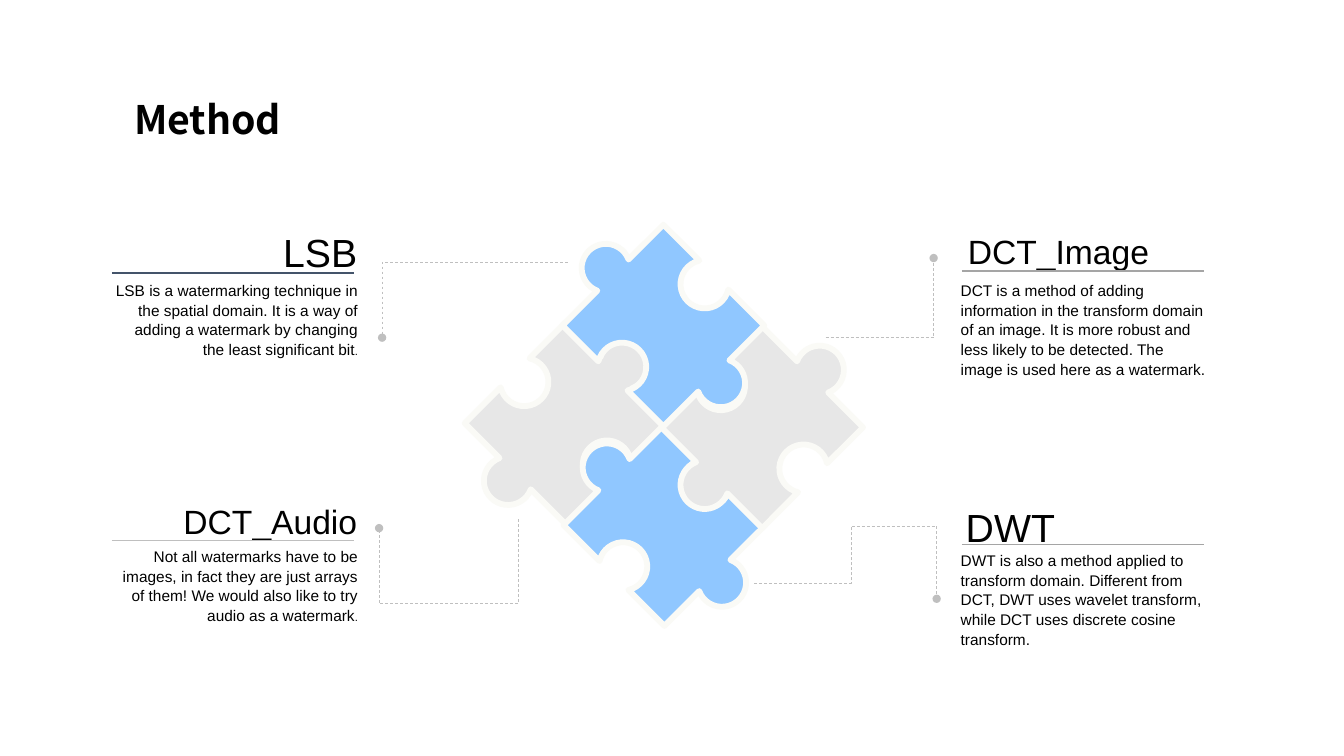
import math

import lxml.etree
import pptx
import pptx.dml.color
import pptx.enum.dml
import pptx.enum.shapes
import pptx.enum.text
import pptx.oxml.ns
import pptx.util

Inches = pptx.util.Inches
RIGHT = pptx.enum.text.PP_ALIGN.RIGHT
LEFT = pptx.enum.text.PP_ALIGN.LEFT

THEME = {
    "title_font": "Noto Sans CJK SC", "font": "Arial", "text": "000000",
    "blue": "90C7FF", "grey": "E7E7E7", "outline": "FAFAF6", "leader": "BFBFBF",
    "title_size": 28, "body_size": 11, "small_size": 8,
}

TITLE = "Method"

# heading, size, heading position, body, small ending, body top, alignment,
# rule position, rule colour, leader points
METHODS = [
    ("LSB", 28, (0.99, 2.22),
     "LSB is a watermarking technique in the spatial domain. It is a way of "
     "adding a watermark by changing the least significant bit", ".",
     2.73, RIGHT, (1.11, 2.71), "44546A",
     [(5.63, 2.6), (3.79, 2.6), (3.79, 3.35)]),
    ("DCT_Audio", 24, (0.99, 4.92),
     "Not all watermarks have to be images, in fact they are just arrays of "
     "them! We would also like to try audio as a watermark", ".",
     5.37, RIGHT, (1.11, 5.36), "BFBFBF",
     [(5.14, 5.15), (5.14, 5.99), (3.76, 5.99), (3.76, 5.24)]),
    ("DCT_Image", 24, (9.5, 2.24),
     "DCT is a method of adding information in the transform domain of an "
     "image. It is more robust and less likely to be detected. The image is "
     "used here as a watermark.", "",
     2.73, LEFT, (9.54, 2.69), "A5A5A5",
     [(8.19, 3.35), (9.26, 3.35), (9.26, 2.56)]),
    ("DWT", 28, (9.48, 4.94),
     "DWT is also a method applied to transform domain. Different from DCT, "
     "DWT uses wavelet transform, while DCT uses discrete cosine transform.", "",
     5.41, LEFT, (9.54, 5.4), "A5A5A5",
     [(7.48, 5.79), (8.44, 5.79), (8.44, 5.22), (9.29, 5.22), (9.29, 5.94)]),
]

# centre, fill, whether the upper-right edge has a knob (edges alternate)
PUZZLE = [
    ((5.61, 4.2), "grey", True),
    ((6.59, 5.21), "blue", False),
    ((7.56, 4.24), "grey", True),
    ((6.58, 3.23), "blue", False),
]
HALF_DIAGONAL = 1.0
KNOB_RADIUS = 0.24
KNOB_REACH, HOLE_REACH = 0.57, 0.41
ARC_CURVES = 3
COLUMN_WIDTH, RULE_WIDTH = 2.65, 2.4


def rgb(value):
    return pptx.dml.color.RGBColor.from_string(value)


def write(frame, content, size, font=THEME["font"], bold=False, align=LEFT,
          spacing=None, small_ending="", anchor=pptx.enum.text.MSO_ANCHOR.TOP):
    frame.word_wrap = True
    frame.vertical_anchor = anchor
    paragraph = frame.paragraphs[0]
    paragraph.alignment = align
    if spacing:
        paragraph.line_spacing = spacing
    for words, points in ((content, size), (small_ending, THEME["small_size"])):
        if words:
            run = paragraph.add_run()
            run.text = words
            run.font.name = font
            run.font.size = pptx.util.Pt(points)
            run.font.bold = bold
            run.font.color.rgb = rgb(THEME["text"])


def add_outline(shapes, points, colour, width, close):
    corners = [(Inches(x), Inches(y)) for x, y in points]
    builder = shapes.build_freeform(*corners[0])
    builder.add_line_segments(corners[1:], close=close)
    shape = builder.convert_to_shape()
    shape.shadow.inherit = False
    shape.line.color.rgb = rgb(colour)
    shape.line.width = pptx.util.Pt(width)
    return shape


def piece_outline(centre, knob_first):
    """Walk the diamond clockwise; return points and the handles of curved steps."""
    cx, cy = centre
    corners = [(0, -1), (1, 0), (0, 1), (-1, 0)]
    points, handles = [], {}
    for edge, (x, y) in enumerate(corners):
        next_x, next_y = corners[(edge + 1) % 4]
        is_knob = (edge % 2 == 0) == knob_first
        reach = KNOB_REACH if is_knob else HOLE_REACH
        out_x, out_y = x + next_x, y + next_y
        depth = abs(reach - HALF_DIAGONAL / 2) * math.sqrt(2)
        half_gap = math.acos(depth / KNOB_RADIUS)
        direction = 1 if is_knob else -1
        start = math.atan2(-direction * out_y, -direction * out_x) + direction * half_gap
        turn = direction * 2 * (math.pi - half_gap) / ARC_CURVES
        pull = 4 / 3 * math.tan(turn / 4)

        def on_arc(angle, tangent=0):
            return (cx + out_x * reach
                    + KNOB_RADIUS * (math.cos(angle) - tangent * math.sin(angle)),
                    cy + out_y * reach
                    + KNOB_RADIUS * (math.sin(angle) + tangent * math.cos(angle)))

        points += [(cx + x * HALF_DIAGONAL, cy + y * HALF_DIAGONAL), on_arc(start)]
        for step in range(ARC_CURVES):
            angle = start + step * turn
            handles[len(points)] = [on_arc(angle, pull), on_arc(angle + turn, -pull)]
            points.append(on_arc(angle + turn))
    return points, handles


def bend(shape, handles):
    """Turn the straight steps that have handles into cubic curves."""
    qn = pptx.oxml.ns.qn
    outline = next(shape._element.iter(qn("a:path")))
    steps = list(outline)
    for index, pair in handles.items():
        curve = lxml.etree.Element(qn("a:cubicBezTo"))
        for x, y in pair:
            lxml.etree.SubElement(curve, qn("a:pt"), x=str(Inches(x) - shape.left),
                                  y=str(Inches(y) - shape.top))
        curve.append(steps[index][0])
        outline.replace(steps[index], curve)


def add_leader(shapes, points):
    leader = add_outline(shapes, points, THEME["leader"], 0.5, close=False)
    leader.fill.background()
    leader.line.dash_style = pptx.enum.dml.MSO_LINE.DASH
    outline = leader.line._get_or_add_ln()
    lxml.etree.SubElement(outline, pptx.oxml.ns.qn("a:tailEnd"), type="oval")


def add_rule(shapes, left, top, colour):
    rule = shapes.add_connector(
        pptx.enum.shapes.MSO_CONNECTOR.STRAIGHT,
        Inches(left), Inches(top), Inches(left + RULE_WIDTH), Inches(top))
    rule.line.color.rgb = rgb(colour)
    rule.line.width = pptx.util.Pt(1)
    lxml.etree.SubElement(rule._element.spPr, pptx.oxml.ns.qn("a:effectLst"))


def add_column_text(shapes, left, top, height, content, size, **style):
    box = shapes.add_textbox(Inches(left), Inches(top),
                             Inches(COLUMN_WIDTH), Inches(height))
    write(box.text_frame, content, size, **style)


def main():
    deck = pptx.Presentation()
    deck.slide_width, deck.slide_height = Inches(13.33), Inches(7.5)
    shapes = deck.slides.add_slide(deck.slide_layouts[5]).shapes

    title = shapes.title
    title.left, title.top = Inches(1.23), Inches(0.87)
    title.width, title.height = Inches(3.3), Inches(0.58)
    write(title.text_frame, TITLE, THEME["title_size"], font=THEME["title_font"],
          bold=True, spacing=1.1, anchor=pptx.enum.text.MSO_ANCHOR.MIDDLE)

    for centre, fill, knob_first in PUZZLE:
        points, handles = piece_outline(centre, knob_first)
        piece = add_outline(shapes, points, THEME["outline"], 4.13, close=True)
        bend(piece, handles)
        piece.fill.solid()
        piece.fill.fore_color.rgb = rgb(THEME[fill])

    for (heading, size, heading_at, body, ending, body_top, align,
         rule_at, rule_colour, leader) in METHODS:
        body_left = 1 if align == RIGHT else 9.43
        add_column_text(shapes, body_left, body_top, 1.07, body,
                        THEME["body_size"], align=align,
                        spacing=pptx.util.Pt(14), small_ending=ending)
        add_leader(shapes, leader)
        add_column_text(shapes, *heading_at, 0.57, heading, size, align=align)
        add_rule(shapes, *rule_at, rule_colour)

    deck.save("out.pptx")


if __name__ == "__main__":
    main()
